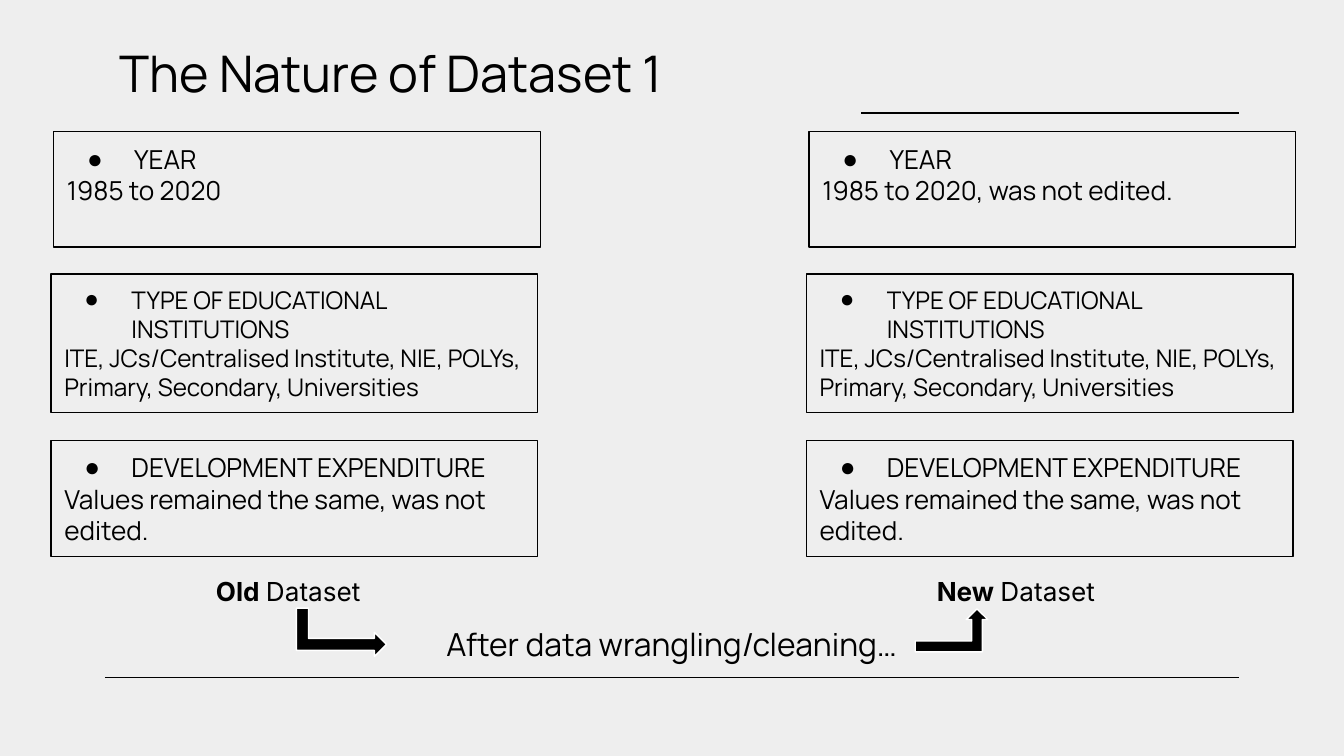
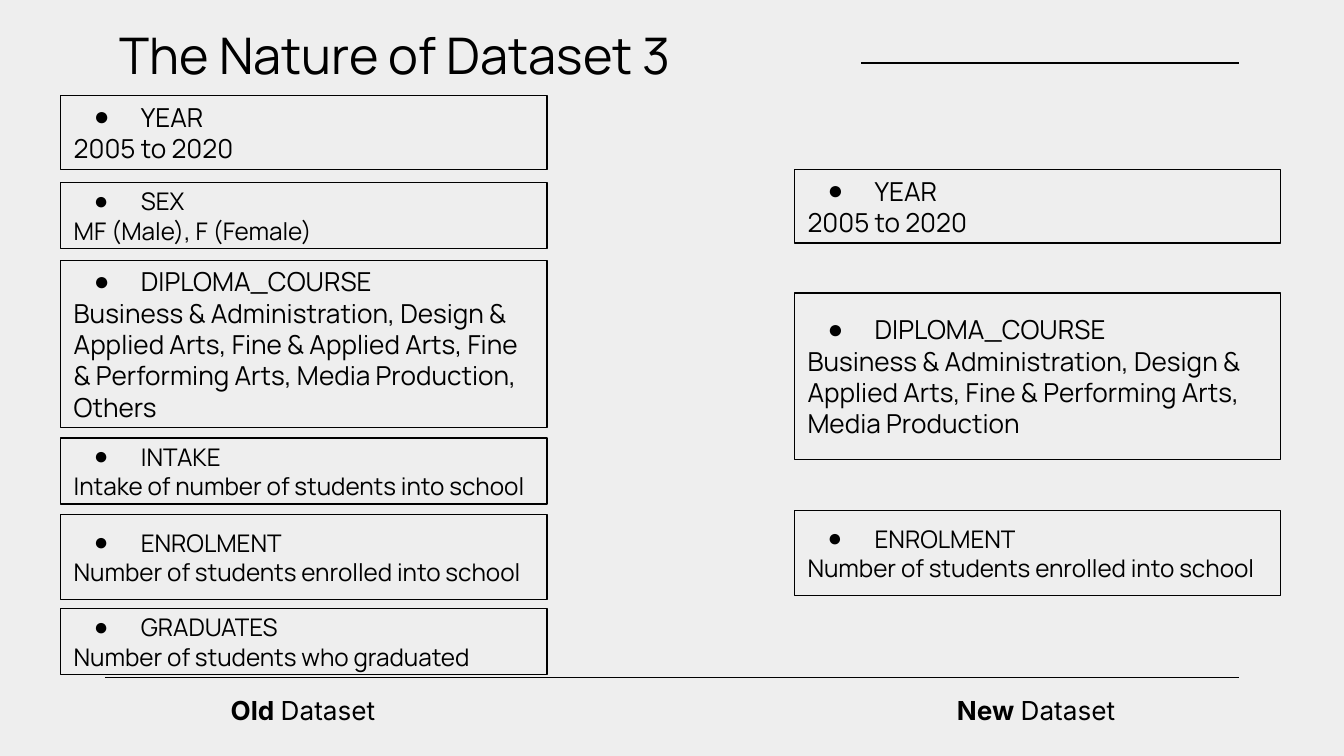
from dataclasses import dataclass

from lxml.etree import SubElement
from pptx import Presentation
from pptx.dml.color import RGBColor
from pptx.enum.shapes import MSO_CONNECTOR, MSO_SHAPE
from pptx.enum.text import MSO_ANCHOR, MSO_AUTO_SIZE, PP_ALIGN
from pptx.oxml.ns import qn
from pptx.util import Inches, Pt


@dataclass(frozen=True)
class Theme:
    ink: RGBColor = RGBColor(0x00, 0x00, 0x00)
    paper: RGBColor = RGBColor(0xEE, 0xEE, 0xEE)
    outline: RGBColor = RGBColor(0xFF, 0xFF, 0xFF)
    main_font: str = "Manrope"
    label_font: str = "Inter"
    bullet_font: str = "Arial"
    title_size: int = 27
    note_size: int = 17
    body_size: int = 14
    compact_size: int = 13
    line_width: float = 0.75


CARD_WIDTH = 3.62
LABEL_HEIGHT = 0.25


class SlideBuilder:
    def __init__(self, deck, theme):
        self.deck = deck
        self.theme = theme
        self.page = None
        fill = deck.slide_master.background.fill
        fill.solid()
        fill.fore_color.rgb = theme.paper

    def start(self, title, title_top, rule_y):
        self.page = self.deck.slides.add_slide(self.deck.slide_layouts[5])
        self.rule(0.78, 9.22, 5.04)
        box = self.page.shapes.title
        box.left, box.top = Inches(0.79), Inches(title_top)
        box.width, box.height = Inches(8.43), Inches(0.63)
        frame = self.prepare(box, MSO_ANCHOR.TOP)
        frame.text = title
        self.style(frame.paragraphs[0], self.theme.title_size)
        self.rule(6.41, 9.22, rule_y)

    def prepare(self, box, anchor=MSO_ANCHOR.MIDDLE, inset=0.1):
        frame = box.text_frame
        frame.word_wrap = True
        frame.auto_size = MSO_AUTO_SIZE.NONE
        frame.vertical_anchor = anchor
        frame.margin_left = frame.margin_right = Inches(0.1)
        frame.margin_top = frame.margin_bottom = Inches(inset)
        return frame

    def style(self, para, size, align=PP_ALIGN.LEFT, font=None):
        para.alignment = align
        for span in para.runs:
            span.font.name = font or self.theme.main_font
            span.font.size = Pt(size)
            span.font.color.rgb = self.theme.ink

    def rule(self, left, right, y):
        line = self.page.shapes.add_connector(
            MSO_CONNECTOR.STRAIGHT, Inches(left), Inches(y), Inches(right), Inches(y))
        line.line.color.rgb = self.theme.ink
        line.line.width = Pt(self.theme.line_width)
        SubElement(line._element.spPr, qn("a:effectLst"))

    def shape(self, kind, left, top, width, height, line_color):
        shape = self.page.shapes.add_shape(
            kind, Inches(left), Inches(top), Inches(width), Inches(height))
        shape.shadow.inherit = False
        shape.line.color.rgb = line_color
        shape.line.width = Pt(self.theme.line_width)
        return shape

    def indent(self, para, hanging=0):
        properties = para._p.get_or_add_pPr()
        properties.set("marL", str(Inches(0.5)))
        properties.set("indent", str(-Inches(hanging)))
        return properties

    def bullet(self, para):
        properties = self.indent(para, 0.35)
        color = SubElement(properties, qn("a:buClr"))
        SubElement(color, qn("a:srgbClr"), val=str(self.theme.ink))
        SubElement(properties, qn("a:buFont"), typeface=self.theme.bullet_font)
        SubElement(properties, qn("a:buChar"), char="●")

    def card(self, left, top, height, heading, detail, size, lift=0):
        """Draw an outlined field; lift raises its text above the middle."""
        box = self.shape(MSO_SHAPE.RECTANGLE, left, top, CARD_WIDTH, height, self.theme.ink)
        box.fill.background()
        frame = self.prepare(box, inset=0)
        frame.margin_bottom = Inches(2 * lift)
        frame.text = f"{heading}\n{detail}"
        first, *continued, _ = frame.paragraphs
        self.bullet(first)
        for para in continued:
            self.indent(para)
        for para in frame.paragraphs:
            self.style(para, size)

    def text_box(self, left, top, width, height):
        box = self.page.shapes.add_textbox(
            Inches(left), Inches(top), Inches(width), Inches(height))
        return self.prepare(box).paragraphs[0]

    def dataset_label(self, age, left, top, width):
        para = self.text_box(left, top, width, LABEL_HEIGHT)
        for words, bold in ((f"{age} ", True), ("Dataset", False)):
            span = para.add_run()
            span.text = words
            span.font.bold = bold
        self.style(para, self.theme.body_size, PP_ALIGN.CENTER, self.theme.label_font)

    def note(self, text, left, top, width, height):
        para = self.text_box(left, top, width, height)
        para.text = text
        self.style(para, self.theme.note_size, PP_ALIGN.CENTER)

    def bent_arrow(self, left, top, width, height, rotation=0):
        arrow = self.shape(MSO_SHAPE.BENT_UP_ARROW, left, top, width, height,
                           self.theme.outline)
        arrow.fill.solid()
        arrow.fill.fore_color.rgb = self.theme.ink
        arrow.rotation = rotation


def add_first_dataset(builder):
    body, compact = builder.theme.body_size, builder.theme.compact_size
    builder.start("The Nature of Dataset 1", 0.21, 0.84)
    for left, years in ((0.38, "1985 to 2020"), (6, "1985 to 2020, was not edited.")):
        builder.card(left + 0.02, 0.98, 0.86, "YEAR", years, body, lift=0.11)
        builder.card(left, 2.04, 1.03, "TYPE OF EDUCATIONAL\nINSTITUTIONS",
                     "ITE, JCs/Centralised Institute, NIE, POLYs, "
                     "Primary, Secondary, Universities", compact)
        builder.card(left, 3.28, 0.86, "DEVELOPMENT EXPENDITURE",
                     "Values remained the same, was not edited.", body)
    builder.dataset_label("Old", 1.32, 4.27, 1.65)
    builder.dataset_label("New", 6.63, 4.27, 1.86)
    builder.note("After data wrangling/cleaning…", 2.11, 4.66, 5.78, 0.26)
    builder.bent_arrow(6.81, 4.53, 0.54, 0.32)
    builder.bent_arrow(2.36, 4.37, 0.36, 0.67, rotation=90)


def add_third_dataset(builder):
    body, compact = builder.theme.body_size, builder.theme.compact_size
    year = (0.55, "YEAR", "2005 to 2020", body)
    enrolment = (0.63, "ENROLMENT", "Number of students enrolled into school", compact)
    old_fields = (
        (0.71, *year),
        (1.36, 0.49, "SEX", "MF (Male), F (Female)", compact),
        (1.94, 1.24, "DIPLOMA_COURSE",
         "Business & Administration, Design & Applied Arts, Fine & Applied Arts, "
         "Fine & Performing Arts, Media Production, Others", body),
        (3.26, 0.49, "INTAKE", "Intake of number of students into school", compact),
        (3.83, *enrolment),
        (4.53, 0.49, "GRADUATES", "Number of students who graduated", compact),
    )
    new_fields = (
        (1.26, *year),
        (2.18, 1.24, "DIPLOMA_COURSE",
         "Business & Administration, Design & Applied Arts, "
         "Fine & Performing Arts, Media Production", body),
        (3.8, *enrolment),
    )
    builder.start("The Nature of Dataset 3", 0.08, 0.47)
    for left, fields in ((0.45, old_fields), (5.91, new_fields)):
        for field in fields:
            builder.card(left, *field)
    builder.dataset_label("Old", 1.43, 5.16, 1.65)
    builder.dataset_label("New", 6.78, 5.16, 1.86)


def main():
    deck = Presentation()
    deck.slide_width = Inches(10)
    deck.slide_height = deck.slide_width * 9 // 16
    builder = SlideBuilder(deck, Theme())
    add_first_dataset(builder)
    add_third_dataset(builder)
    deck.save("out.pptx")


if __name__ == "__main__":
    main()
